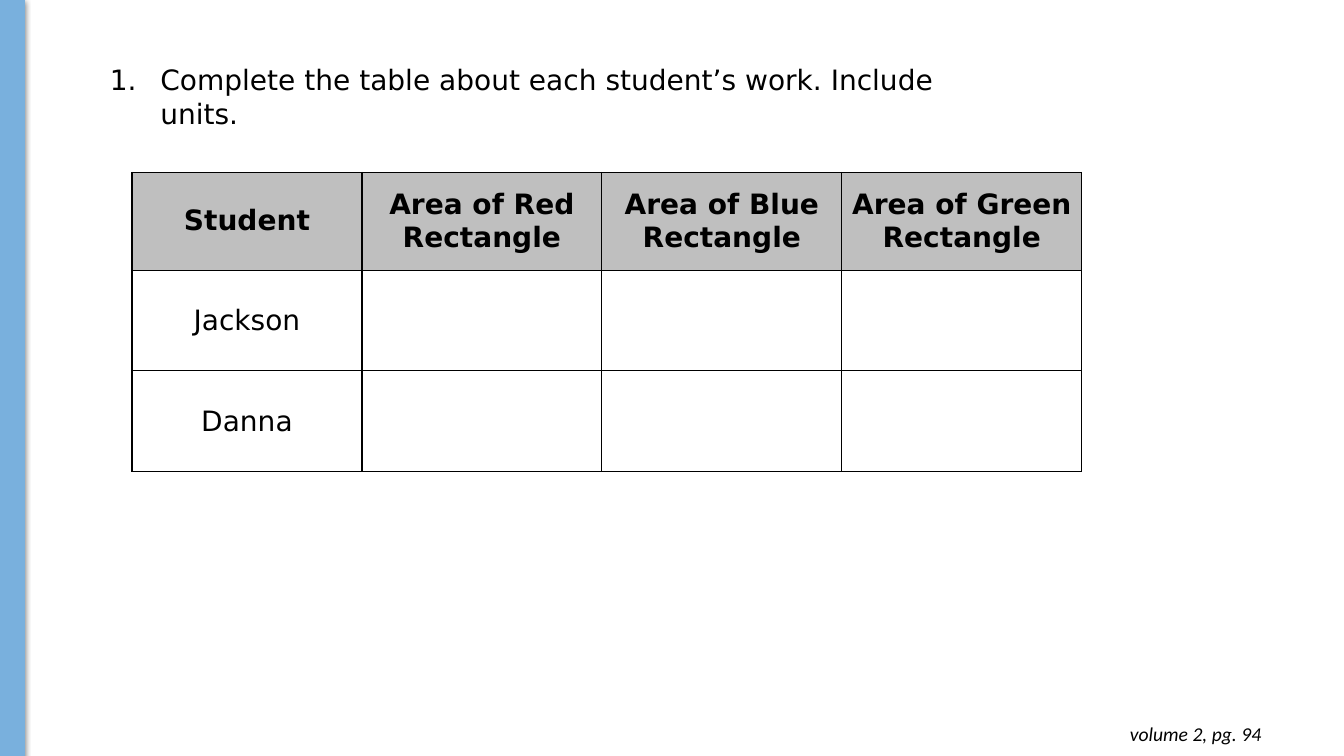
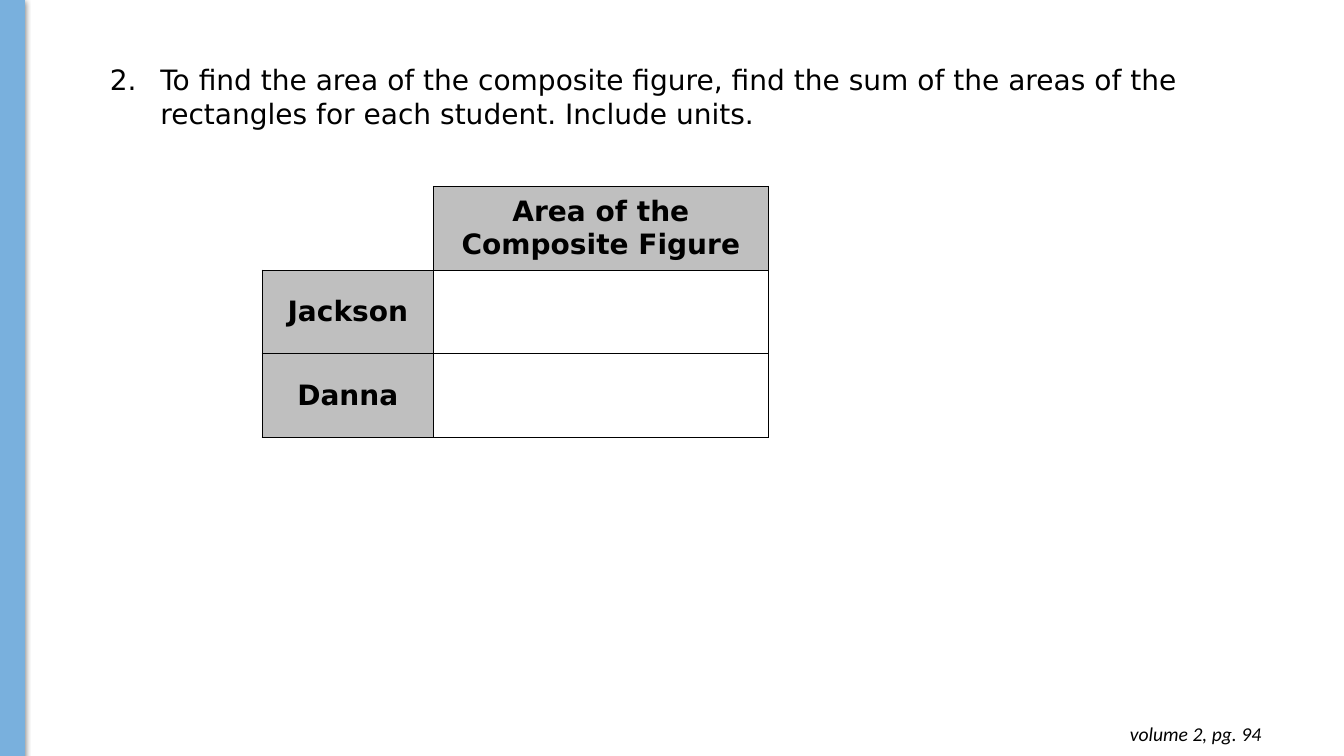
import pptx
import pptx.dml.color
import pptx.enum.shapes
import pptx.enum.text
import pptx.oxml
import pptx.oxml.ns
import pptx.util

Inches = pptx.util.Inches
Pt = pptx.util.Pt
RGBColor = pptx.dml.color.RGBColor
ALIGN = pptx.enum.text.PP_ALIGN
ANCHOR = pptx.enum.text.MSO_ANCHOR

BLUE = RGBColor(0x79, 0xB0, 0xDD)
GRAY = RGBColor(0xBF, 0xBF, 0xBF)
BLACK = RGBColor(0, 0, 0)
SANS = "DejaVu Sans"
SPACE = pptx.oxml.ns.nsdecls("a")


def write(frame, text, size=20, font=SANS, bold=False, italic=False,
          align=ALIGN.LEFT, anchor=ANCHOR.TOP, number=None):
    """Fill a text frame with one paragraph, numbered if asked."""
    frame.word_wrap = True
    frame.vertical_anchor = anchor
    para = frame.paragraphs[0]
    para.alignment = align
    if number:
        props = para._p.get_or_add_pPr()
        props.set("marL", str(Inches(0.5)))
        props.set("indent", str(-Inches(0.5)))
        props.append(pptx.oxml.parse_xml(
            f'<a:buAutoNum {SPACE} type="arabicPeriod" startAt="{number}"/>'))
    run = para.add_run()
    run.text = text
    run.font.size = Pt(size)
    run.font.name = font
    run.font.bold = bold
    run.font.italic = italic
    run.font.color.rgb = BLACK


class Deck:
    """Holds the style and the current slide."""

    def __init__(self):
        self.file = pptx.Presentation()
        self.file.slide_width = Inches(13.33)
        self.file.slide_height = Inches(7.5)
        self.slide = None

    def start(self, number, text, width):
        """Add a slide with its side band, footer and numbered task."""
        self.slide = self.file.slides.add_slide(self.file.slide_layouts[5])
        self.band()
        self.footer("volume 2, pg. 94")
        title = self.slide.shapes.title
        title.left, title.top = Inches(0.99), Inches(0.57)
        title.width, title.height = Inches(width), Inches(1.01)
        title.text_frame.auto_size = pptx.enum.text.MSO_AUTO_SIZE.NONE
        write(title.text_frame, text, number=number)

    def band(self):
        band = self.slide.shapes.add_shape(
            pptx.enum.shapes.MSO_SHAPE.RECTANGLE,
            0, 0, Inches(0.24), Inches(7.5))
        band.fill.solid()
        band.fill.fore_color.rgb = BLUE
        band.line.color.rgb = BLUE
        band.line.width = Pt(0.75)
        # Soft shadow below the band
        band.shadow.inherit = False
        glow = band._element.spPr.find(pptx.oxml.ns.qn("a:effectLst"))
        glow.append(pptx.oxml.parse_xml(
            f'<a:outerShdw {SPACE} blurRad="{Pt(4.5)}" dist="{Pt(1.5)}" '
            'dir="5400000" rotWithShape="0"><a:srgbClr val="000000">'
            '<a:alpha val="50000"/></a:srgbClr></a:outerShdw>'))

    def footer(self, text):
        box = self.slide.shapes.add_textbox(
            Inches(9.73), Inches(7.06), Inches(2.88), Inches(0.44))
        frame = box.text_frame
        frame.margin_top = frame.margin_bottom = Inches(0.1)
        write(frame, text, size=14, font="Calibri", italic=True,
              align=ALIGN.RIGHT)

    def table(self, left, top, cols, rows, texts, heads):
        """Draw a grid; heads(row, col) tells which cells are gray."""
        grid = self.slide.shapes.add_table(
            len(rows), len(cols), Inches(left), Inches(top),
            Inches(sum(cols)), Inches(sum(rows))).table
        grid.first_row = grid.horz_banding = False
        for col, width in zip(grid.columns, cols):
            col.width = Inches(width)
        for row, height in zip(grid.rows, rows):
            row.height = Inches(height)
        for r, line in enumerate(texts):
            for c, text in enumerate(line):
                # The blank corner has no outer edges
                edges = "RB" if r == c == 0 and not text else "LRTB"
                self.cell(grid.cell(r, c), text, heads(r, c), edges)

    def cell(self, cell, text, head, edges):
        cell.margin_left = cell.margin_right = Inches(0.07)
        cell.margin_top = cell.margin_bottom = 0
        cell.vertical_anchor = ANCHOR.MIDDLE
        props = cell._tc.get_or_add_tcPr()
        for edge in edges:
            props.append(pptx.oxml.parse_xml(
                f'<a:ln{edge} {SPACE} w="{Pt(1)}"><a:solidFill>'
                f'<a:srgbClr val="{BLACK}"/></a:solidFill></a:ln{edge}>'))
        if head and text:
            cell.fill.solid()
            cell.fill.fore_color.rgb = GRAY
        else:
            cell.fill.background()
        if text:
            write(cell.text_frame, text, bold=head, align=ALIGN.CENTER,
                  anchor=ANCHOR.MIDDLE)


def main():
    deck = Deck()

    # Areas of the parts
    deck.start(1, "Complete the table about each student’s work. "
                  "Include units.", 9.11)
    deck.table(1.31, 1.71, [2.28] + [2.38] * 3, [0.97, 1, 1],
               [["Student"] + [f"Area of {hue} Rectangle"
                               for hue in ("Red", "Blue", "Green")],
                ["Jackson", "", "", ""],
                ["Danna", "", "", ""]],
               heads=lambda r, c: r == 0)

    # Area of the whole
    deck.start(2, "To find the area of the composite figure, find the sum "
                  "of the areas of the rectangles for each student. "
                  "Include units.", 11.41)
    deck.table(2.6, 1.85, [1.7, 3.32], [0.83] * 3,
               [["", "Area of the Composite Figure"],
                ["Jackson", ""],
                ["Danna", ""]],
               heads=lambda r, c: r == 0 or c == 0)

    deck.file.save("out.pptx")


if __name__ == "__main__":
    main()
